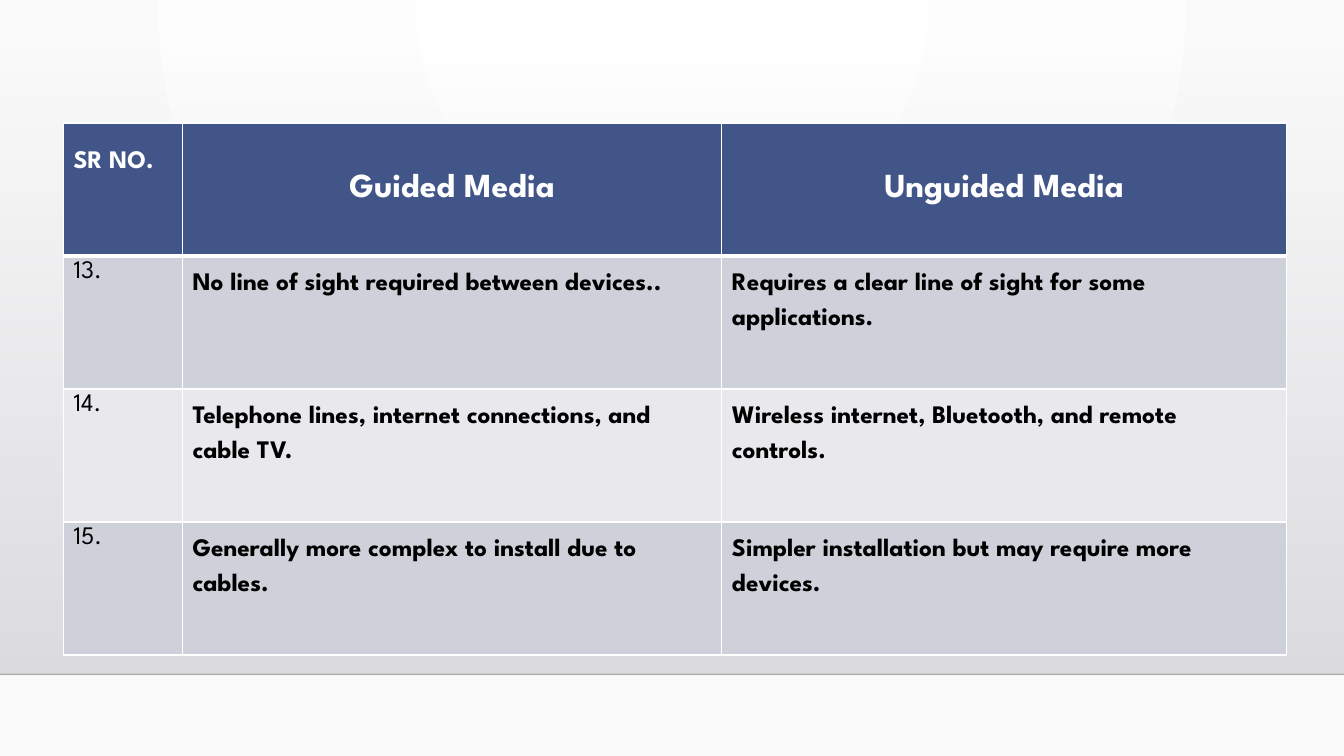
from dataclasses import dataclass

from lxml import etree
from pptx import Presentation
from pptx.dml.color import RGBColor
from pptx.enum.shapes import MSO_CONNECTOR as Connector, MSO_SHAPE as Shape
from pptx.enum.text import PP_ALIGN as Align
from pptx.oxml.ns import qn
from pptx.util import Inches, Pt


@dataclass(frozen=True)
class Theme:
    font: str = "League Spartan"
    heading_size: int = 24
    body_size: int = 18
    white: str = "FFFFFF"
    black: str = "000000"
    backdrop_edge: str = "FAFAFA"
    wall_top: str = "DCDCE0"
    wall_bottom: str = "DEDEE2"
    floor_line: str = "000001"
    header: str = "415588"
    bands: tuple = ("CFD1DA", "E9E9ED")


THEME = Theme()
SLIDE_WIDTH, SLIDE_HEIGHT = 13.33, 7.5
COLUMN_WIDTHS = (1.18, 5.35, 5.6)
HEADINGS = ("SR NO.", "Guided Media", "Unguided Media")
FIRST_NUMBER = 13
COMPARISONS = (
    ("No line of sight required between devices..",
     "Requires a clear line of sight for some applications."),
    ("Telephone lines, internet connections, and cable TV.",
     "Wireless internet, Bluetooth, and remote controls."),
    ("Generally more complex to install due to cables.",
     "Simpler installation but may require more devices."),
)


def write(frame, text, *, size=THEME.body_size, color=THEME.black, bold=True,
          align=Align.LEFT, spacing=1.0):
    paragraph = frame.paragraphs[0]
    paragraph.alignment = align
    paragraph.line_spacing = spacing
    run = paragraph.add_run()
    run.text = text
    run.font.name = THEME.font
    run.font.size = Pt(size)
    run.font.bold = bold
    run.font.color.rgb = RGBColor.from_string(color)


def set_gradient(fill, *colors):
    fill.gradient()
    for position, (stop, color) in enumerate(zip(fill.gradient_stops, colors)):
        stop.color.rgb = RGBColor.from_string(color)
        stop.position = position


def set_alpha(parent, percent):
    color = next(parent.iter(qn("a:srgbClr")))
    etree.SubElement(color, qn("a:alpha"), val=str(percent * 1000))


def set_borders(cell, **widths):
    properties = cell._tc.get_or_add_tcPr()
    for index, side in enumerate("LRTB"):
        width = widths.get(side, 1)
        border = etree.Element(qn(f"a:ln{side}"), w=str(Pt(width)))
        solid = etree.SubElement(border, qn("a:solidFill"))
        etree.SubElement(solid, qn("a:srgbClr"), val=THEME.white)
        properties.insert(index, border)


def paint_backdrop(slide):
    set_gradient(slide.background.fill, THEME.white, THEME.backdrop_edge)
    gradient = next(slide._element.iter(qn("a:gradFill")))
    gradient.remove(gradient.find(qn("a:lin")))
    glow = etree.SubElement(gradient, qn("a:path"))
    glow.set("path", "circle")
    etree.SubElement(glow, qn("a:fillToRect"), l="43000", t="0", r="43000", b="100000")


def add_wall(slide, left, top, width, height):
    wall = slide.shapes.add_shape(
        Shape.RECTANGLE, Inches(left), Inches(top), Inches(width), Inches(height))
    wall.shadow.inherit = False
    wall.line.fill.background()
    set_gradient(wall.fill, THEME.wall_top, THEME.wall_bottom)
    wall.fill.gradient_angle = 270
    set_alpha(wall._element.spPr, 0)

    floor = Inches(top + height)
    edge = slide.shapes.add_connector(
        Connector.STRAIGHT, Inches(left), floor, Inches(left + width), floor)
    edge.line.width = Pt(1)
    edge.line.color.rgb = RGBColor.from_string(THEME.floor_line)
    set_alpha(edge._element.spPr, 20)
    etree.SubElement(edge._element.spPr, qn("a:effectLst"))


def add_comparison(slide, left, top, width, height):
    row_count = len(COMPARISONS) + 1
    table = slide.shapes.add_table(
        row_count, len(HEADINGS), Inches(left), Inches(top),
        Inches(width), Inches(height)).table
    for column, column_width in zip(table.columns, COLUMN_WIDTHS):
        column.width = Inches(column_width)
    for row in table.rows:
        row.height = Inches(height / row_count)

    numbered = [(f"{number}.", *media)
                for number, media in enumerate(COMPARISONS, FIRST_NUMBER)]
    for row_index, texts in enumerate([HEADINGS, *numbered]):
        is_header = row_index == 0
        for column_index, text in enumerate(texts):
            is_number = column_index == 0
            cell = table.cell(row_index, column_index)
            cell.fill.solid()
            cell.fill.fore_color.rgb = RGBColor.from_string(
                THEME.header if is_header else THEME.bands[(row_index - 1) % 2])
            set_borders(cell, T=3 if row_index == 1 else 1, B=3 if is_header else 1)
            if is_header and is_number:
                style = dict(color=THEME.white, spacing=2.0)
            elif is_header:
                style = dict(size=THEME.heading_size, color=THEME.white,
                             align=Align.CENTER, spacing=2.5)
            elif is_number:
                style = dict(bold=False)
            else:
                style = dict(spacing=1.5)
            write(cell.text_frame, text, **style)


def main():
    deck = Presentation()
    deck.slide_width = Inches(SLIDE_WIDTH)
    deck.slide_height = Inches(SLIDE_HEIGHT)
    slide = deck.slides.add_slide(deck.slide_layouts[6])
    paint_backdrop(slide)
    add_wall(slide, 0, 0.51, SLIDE_WIDTH, 6.18)
    add_comparison(slide, 0.63, 1.22, sum(COLUMN_WIDTHS), 5.28)
    deck.save("out.pptx")


if __name__ == "__main__":
    main()
